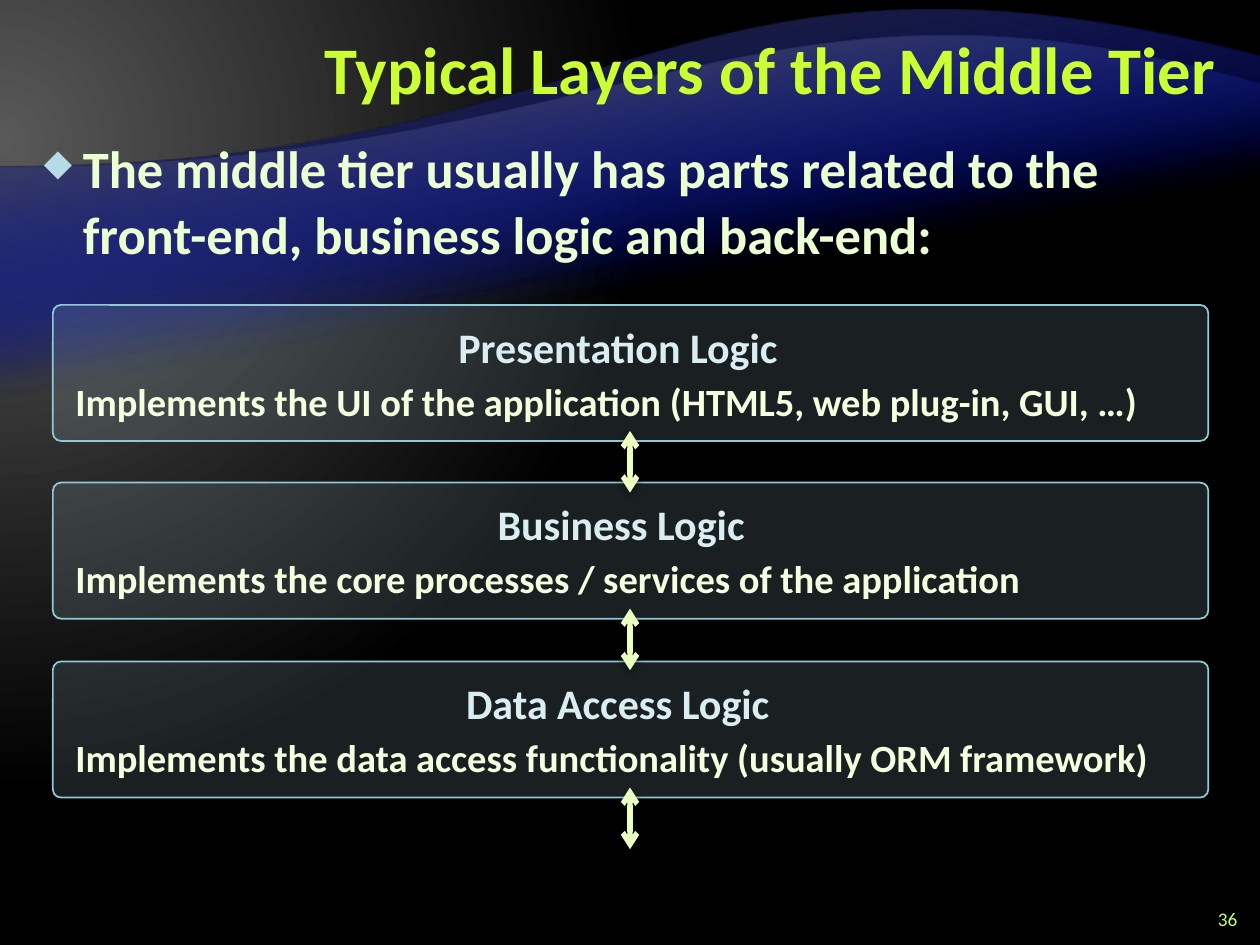
import pptx
import pptx.util
import pptx.oxml
import pptx.oxml.ns
import pptx.dml.color
import pptx.enum.shapes
import pptx.enum.text

Inches = pptx.util.Inches
Pt = pptx.util.Pt
RGB = pptx.dml.color.RGBColor
Align = pptx.enum.text.PP_ALIGN
Anchor = pptx.enum.text.MSO_ANCHOR
qn = pptx.oxml.ns.qn
NS = pptx.oxml.ns.nsdecls("a")

FONT = "Calibri"
LIME = RGB(0xCC, 0xFF, 0x33)
PALE = RGB(0xEB, 0xFF, 0xD2)
NUMBER = RGB(0xCC, 0xFF, 0x66)
ICE = RGB(0xB5, 0xDB, 0xE5)
EDGE = RGB(0x90, 0xCA, 0xD7)
HEAD = RGB(0xDA, 0xED, 0xF2)
CREAM = RGB(0xF5, 0xFF, 0xE0)
ARROW = RGB(0xEB, 0xFF, 0xC2)
NAVY = RGB(0x00, 0x0D, 0x9E)
DARK = RGB(0x26, 0x26, 0x26)
GREY = RGB(0x59, 0x59, 0x59)
BLACK = RGB(0, 0, 0)

# box top, heading left and width, heading, note width, note
LAYERS = [
    (2.42, 3.54, 2.94, "Presentation Logic", 8.97,
     "Implements the UI of the application (HTML5, web plug-in, GUI, …)"),
    (3.83, 3.85, 2.32, "Business Logic", 7.97,
     "Implements the core processes / services of the application"),
    (5.25, 3.6, 2.79, "Data Access Logic", 9.1,
     "Implements the data access functionality (usually ORM framework)"),
]


def make_grad(stops, shade):
    """Gradient fill from (percent, colour, alpha percent) stops."""
    marks = "".join(
        f'<a:gs pos="{pos * 1000}"><a:srgbClr val="{color}">'
        f'<a:alpha val="{alpha * 1000}"/></a:srgbClr></a:gs>'
        for pos, color, alpha in stops)
    return pptx.oxml.parse_xml(
        f'<a:gradFill {NS} rotWithShape="1"><a:gsLst>{marks}</a:gsLst>{shade}</a:gradFill>')


def swap_fill(parent, grad):
    solid = parent.find(qn("a:solidFill"))
    parent.replace(solid, grad)


def paint_back(slide):
    slide.background.fill.solid()
    slide.background.fill.fore_color.rgb = BLACK
    shade = ('<a:path path="circle"><a:fillToRect l="20000" t="30000" '
             'r="135000" b="100000"/></a:path>')
    grad = make_grad([(0, GREY, 100), (83, BLACK, 100)], shade)
    swap_fill(slide.element.find(".//" + qn("p:bgPr")), grad)


def add_wave(slide, top, base, bends, color):
    """Area below a curve that runs from the left edge to the right edge."""
    start = 1.33
    build = slide.shapes.build_freeform(Inches(10), Inches(base))
    build.add_line_segments(
        [(Inches(x), Inches(y)) for x, y in [(0, base), (0, start), (10, top)]])
    wave = build.convert_to_shape()
    wave.shadow.inherit = False
    wave.line.fill.background()
    wave.fill.solid()
    wave.fill.fore_color.rgb = color
    # Bend the last side
    points = "".join(f'<a:pt x="{Inches(x)}" y="{Inches(y - top)}"/>'
                     for x, y in bends + [(10, top)])
    side = wave.element.findall(".//" + qn("a:lnTo"))[2]
    side.getparent().replace(side, pptx.oxml.parse_xml(
        f'<a:cubicBezTo {NS}>{points}</a:cubicBezTo>'))
    shade = f'<a:lin ang="{260 * 60000}" scaled="0"/>'
    swap_fill(wave.element.spPr, make_grad([(65, NAVY, 0), (100, color, 100)], shade))


def add_text(slide, box, text, size, color, bold=True, align=Align.LEFT,
             anchor=Anchor.TOP, wrap=True):
    frame = slide.shapes.add_textbox(*map(Inches, box)).text_frame
    frame.word_wrap = wrap
    frame.vertical_anchor = anchor
    para = frame.paragraphs[0]
    para.alignment = align
    run = para.add_run()
    run.text = text
    run.font.name = FONT
    run.font.size = Pt(size)
    run.font.bold = bold
    run.font.color.rgb = color
    return frame


def set_bullet(para):
    props = para._p.get_or_add_pPr()
    props.set("marL", str(Inches(0.31)))
    props.set("indent", str(Inches(-0.31)))
    for tag in (f'<a:buClr {NS}><a:srgbClr val="{ICE}"/></a:buClr>',
                f'<a:buSzPct {NS} val="70000"/>',
                f'<a:buChar {NS} char="◆"/>'):
        props.append(pptx.oxml.parse_xml(tag))


def add_box(slide, top):
    box = slide.shapes.add_shape(
        pptx.enum.shapes.MSO_SHAPE.ROUNDED_RECTANGLE,
        Inches(0.42), Inches(top), Inches(9.17), Inches(1.08))
    box.adjustments[0] = 0.06
    box.shadow.inherit = False
    box.fill.solid()
    box.fill.fore_color.rgb = ICE
    tint = box.element.spPr.find(qn("a:solidFill")).find(qn("a:srgbClr"))
    tint.append(pptx.oxml.parse_xml(f'<a:alpha {NS} val="15000"/>'))
    box.line.color.rgb = EDGE
    box.line.width = Pt(1)


def add_arrow(slide, top):
    arrow = slide.shapes.add_connector(
        pptx.enum.shapes.MSO_CONNECTOR.STRAIGHT,
        Inches(5), Inches(top), Inches(5), Inches(top + 0.49))
    arrow.line.color.rgb = ARROW
    arrow.line.width = Pt(3)
    props = arrow.element.spPr
    for end in ("headEnd", "tailEnd"):
        props.find(qn("a:ln")).append(
            pptx.oxml.parse_xml(f'<a:{end} {NS} type="arrow"/>'))
    props.append(pptx.oxml.parse_xml(
        f'<a:effectLst {NS}><a:outerShdw blurRad="{Pt(4)}" dist="{Pt(2)}" '
        f'dir="{90 * 60000}" rotWithShape="0"><a:srgbClr val="{BLACK}">'
        '<a:alpha val="43000"/></a:srgbClr></a:outerShdw></a:effectLst>'))


def main():
    prs = pptx.Presentation()
    prs.slide_width, prs.slide_height = Inches(10), Inches(7.5)
    slide = prs.slides.add_slide(prs.slide_layouts[6])

    # Background with two pairs of waves
    paint_back(slide)
    for _ in range(2):
        add_wave(slide, 0.45, 6.53, [(5, 1.33), (5.34, -0.75)], DARK)
        add_wave(slide, 0.67, 5.57, [(5, 1.33), (5.98, -0.49)], GREY)

    # Title, lead sentence and slide number
    title = add_text(slide, (2, 0.08, 7.75, 1), "Typical Layers of the Middle Tier",
                     38, LIME, align=Align.RIGHT, anchor=Anchor.MIDDLE)
    title.paragraphs[0].line_spacing = Pt(40)
    lead = add_text(slide, (0.25, 1, 9.5, 6.17),
                    "The middle tier usually has parts related to the "
                    "front-end, business logic and back-end:", 30, PALE).paragraphs[0]
    set_bullet(lead)
    lead.line_spacing = Pt(38)
    lead.space_after = Pt(6)
    add_text(slide, (9.42, 7.17, 0.5, 0.25), "36", 11, NUMBER, bold=False,
             align=Align.RIGHT, anchor=Anchor.MIDDLE)

    # Layers
    for top, left, width, head, span, note in LAYERS:
        add_box(slide, top)
        add_text(slide, (left, top + 0.08, width, 0.5), head, 24, HEAD, wrap=False)
        add_text(slide, (0.5, top + 0.53, span, 0.47), note, 22, CREAM, wrap=False)

    # Arrows below the layers
    for layer in LAYERS:
        add_arrow(slide, layer[0] + 1)

    prs.save("out.pptx")


if __name__ == "__main__":
    main()
